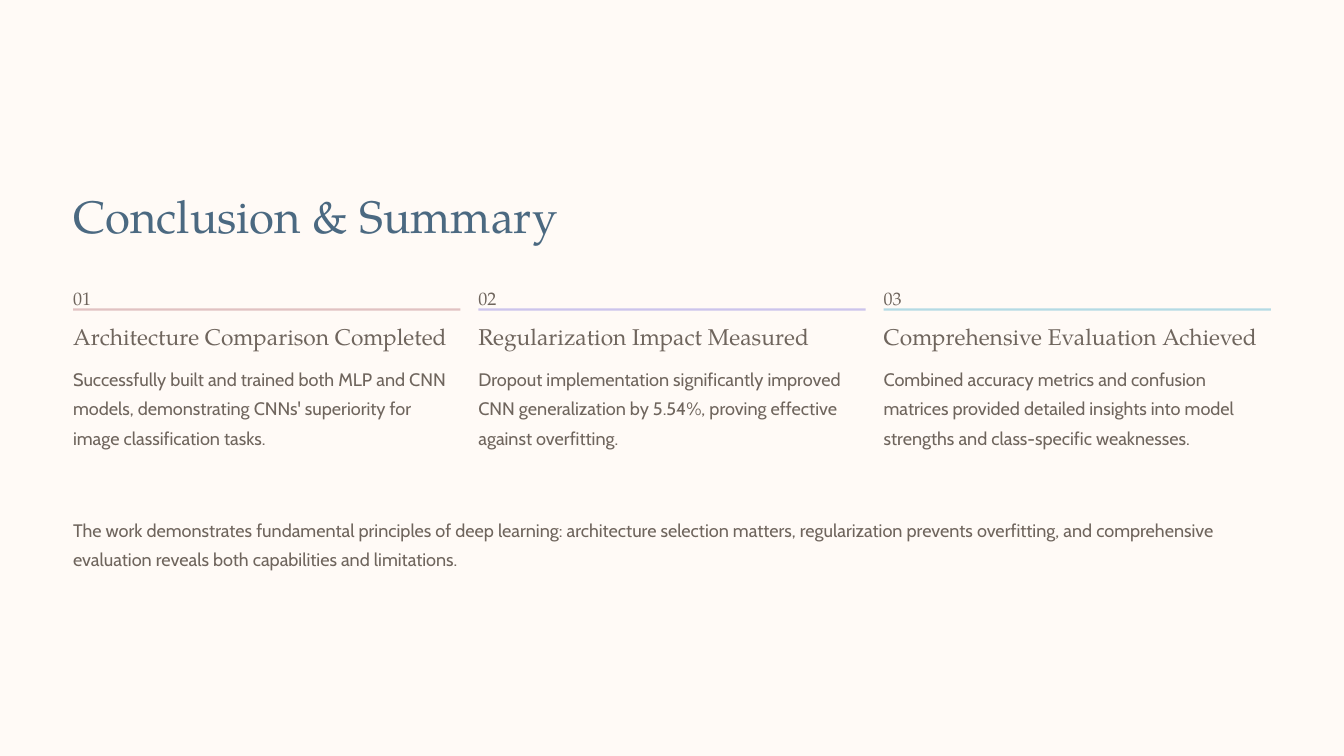
from dataclasses import dataclass

from pptx import Presentation
from pptx.dml.color import RGBColor
from pptx.enum.shapes import MSO_SHAPE as Preset
from pptx.enum.text import MSO_ANCHOR as Anchor, MSO_AUTO_SIZE as AutoSize, PP_ALIGN as Align
from pptx.util import Inches, Pt


@dataclass(frozen=True)
class TextStyle:
    font: str
    size: float
    leading: float
    color: str


@dataclass(frozen=True)
class Theme:
    background: str = "FFFAF6"
    accents: tuple = ("E1C2C2", "CCC4EC", "B4DAE4")
    title: TextStyle = TextStyle("TeX Gyre Pagella", 39, 48.5, "4B6981")
    number: TextStyle = TextStyle("TeX Gyre Pagella", 15.5, 25, "6F655D")
    heading: TextStyle = TextStyle("TeX Gyre Pagella", 19.5, 24, "6F655D")
    body: TextStyle = TextStyle("Cabin", 15.5, 25, "6F655D")


THEME = Theme()
MARGIN = 0.87
CONTENT_WIDTH = 14.26
FINDING_WIDTH = 4.61

FINDINGS = [
    ("Architecture Comparison Completed",
     "Successfully built and trained both MLP and CNN models, demonstrating "
     "CNNs' superiority for image classification tasks."),
    ("Regularization Impact Measured",
     "Dropout implementation significantly improved CNN generalization by 5.54%, "
     "proving effective against overfitting."),
    ("Comprehensive Evaluation Achieved",
     "Combined accuracy metrics and confusion matrices provided detailed insights "
     "into model strengths and class-specific weaknesses."),
]
CLOSING = (
    "The work demonstrates fundamental principles of deep learning: architecture "
    "selection matters, regularization prevents overfitting, and comprehensive "
    "evaluation reveals both capabilities and limitations."
)


def write(frame, text, style):
    frame.text = text
    frame.word_wrap = True
    frame.auto_size = AutoSize.NONE
    frame.vertical_anchor = Anchor.TOP
    frame.margin_left = frame.margin_right = frame.margin_top = frame.margin_bottom = 0
    paragraph = frame.paragraphs[0]
    paragraph.alignment = Align.LEFT
    paragraph.line_spacing = Pt(style.leading)
    paragraph.font.name = style.font
    paragraph.font.size = Pt(style.size)
    paragraph.font.color.rgb = RGBColor.from_string(style.color)


def add_text(slide, left, top, width, height, text, style):
    box = slide.shapes.add_textbox(Inches(left), Inches(top), Inches(width), Inches(height))
    write(box.text_frame, text, style)


def place_title(slide, left, top, width, height, text):
    title = slide.shapes.title
    title.left, title.top = Inches(left), Inches(top)
    title.width, title.height = Inches(width), Inches(height)
    write(title.text_frame, text, THEME.title)


def add_finding(slide, left, top, width, number, heading, detail, accent):
    add_text(slide, left, top, width, 0.27, number, THEME.number)
    rule = slide.shapes.add_shape(
        Preset.RECTANGLE, Inches(left), Inches(top + 0.34), Inches(width), Inches(0.03))
    rule.shadow.inherit = False
    rule.fill.solid()
    rule.fill.fore_color.rgb = RGBColor.from_string(accent)
    rule.line.fill.background()
    add_text(slide, left, top + 0.5, width, 0.34, heading, THEME.heading)
    add_text(slide, left, top + 0.97, width, 1.04, detail, THEME.body)


def add_findings(slide, left, top, width):
    step = (width - FINDING_WIDTH) / (len(FINDINGS) - 1)
    for index, ((heading, detail), accent) in enumerate(zip(FINDINGS, THEME.accents)):
        add_finding(slide, left + index * step, top, FINDING_WIDTH,
                    f"{index + 1:02}", heading, detail, accent)


def build_conclusion(deck):
    slide = deck.slides.add_slide(deck.slide_layouts.get_by_name("Title Only"))
    slide.background.fill.solid()
    slide.background.fill.fore_color.rgb = RGBColor.from_string(THEME.background)
    place_title(slide, MARGIN, 2.21, CONTENT_WIDTH, 0.68, "Conclusion & Summary")
    add_findings(slide, MARGIN, 3.33, CONTENT_WIDTH)
    add_text(slide, MARGIN, 6.09, CONTENT_WIDTH, 0.69, CLOSING, THEME.body)


def main():
    deck = Presentation()
    deck.slide_width, deck.slide_height = Inches(16), Inches(9)
    build_conclusion(deck)
    deck.save("out.pptx")


if __name__ == "__main__":
    main()
